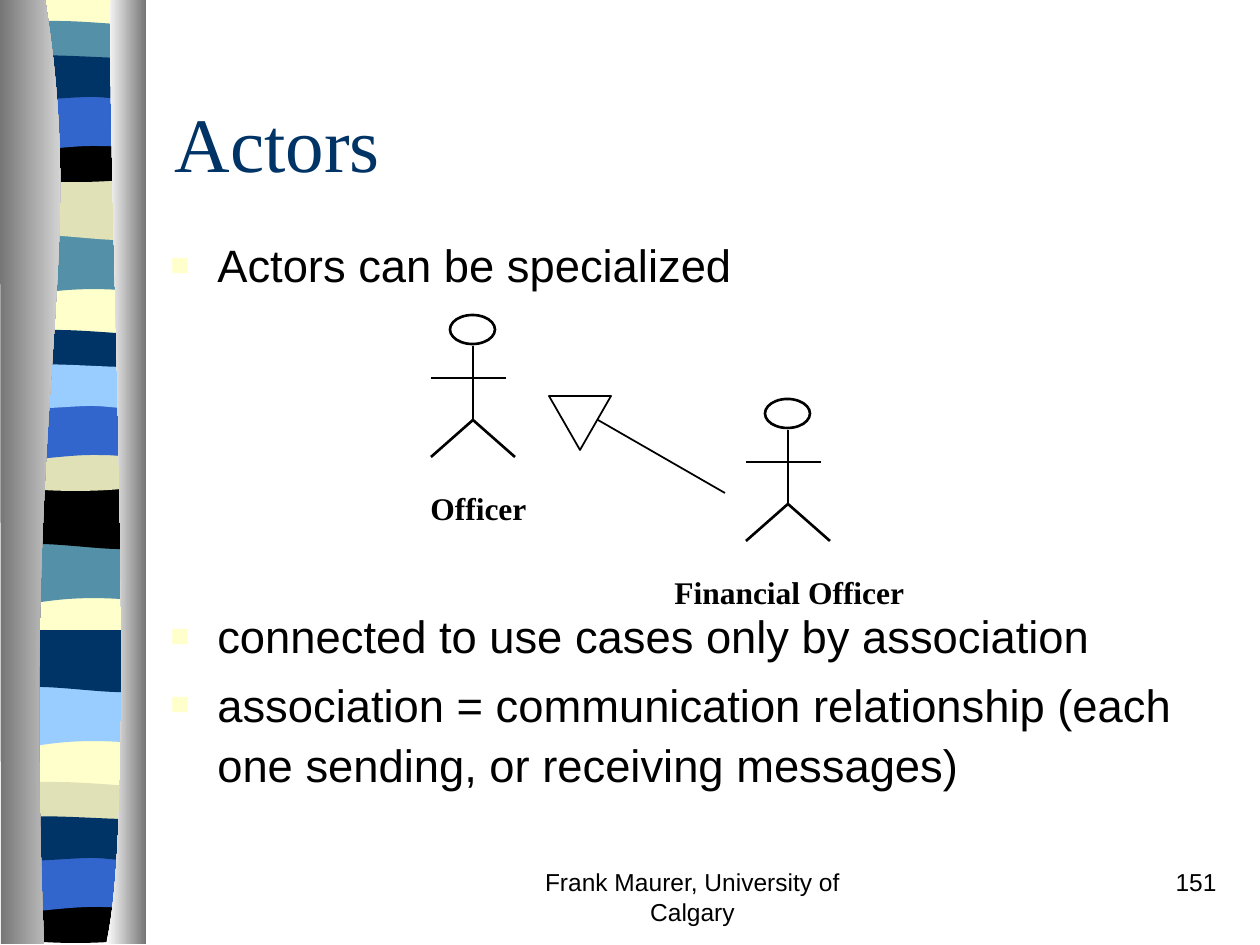
"""Build the slide on specialized actors."""
from lxml.etree import SubElement as Sub
from pptx import Presentation
from pptx.dml.color import RGBColor
from pptx.enum.shapes import MSO_CONNECTOR as Conn, MSO_SHAPE as Kind
from pptx.enum.text import MSO_ANCHOR as Anchor, MSO_AUTO_SIZE as Auto, PP_ALIGN as Align
from pptx.oxml.ns import qn
from pptx.util import Pt

PX = 7257
hue = RGBColor.from_string


def draw(start, legs, shift=0, close=True):
    """Add an outline of legs: two numbers make a line, six a Bezier curve."""
    dots = [(x, y + shift) for leg in legs for x, y in zip(leg[::2], leg[1::2])]
    pen = shapes.build_freeform(start[0], start[1] + shift, scale=PX)
    pen.add_line_segments(dots, close=close)
    shape = pen.convert_to_shape()
    steps = iter(list(shape._element.iter(qn("a:lnTo"))))
    for leg in legs:
        first, *rest = [next(steps) for _ in leg[::2]]
        if rest:
            first.tag = qn("a:cubicBezTo")
        for step in rest:
            first.append(step[0])
            step.getparent().remove(step)
    shape.shadow.inherit = False
    shape.line.fill.background()
    return shape


deck = Presentation()
deck.slide_width, deck.slide_height = 1260 * PX, 945 * PX
slide = deck.slides.add_slide(deck.slide_layouts[5])
shapes = slide.shapes

base = ((144, -1), [(144, 941), (8, 941), (8, -1)])
dip = ((144, 233), [(144, 292), (49, 282, 30, 302, 8, 292), (8, 233)])
sag = ((144, 178), [(144, 237), (121, 247, 49, 229, 8, 237), (8, 178)])
bow = ((144, 26), [(144, 57), (121, 62, 30, 62, 8, 57), (8, 26),
                   (15, 20, 37, 21, 59, 21), (82, 21, 126, 25, 144, 26)])
bulge = ((144, 136), [(144, 176), (121, 184, 30, 184, 8, 176), (8, 136),
                      (91, 142, 115, 136, 144, 136)])
arch = ((144, 93), [(144, 152), (122, 146, 113, 146, 91, 146),
                    (68, 146, 28, 152, 8, 152), (8, 93)])
wave = ((144, 58), [(144, 97), (135, 103, 113, 97, 91, 97), (68, 97, 21, 103, 8, 97),
                    (8, 58), (26, 52, 100, 58, 122, 58), (145, 58, 139, 58, 144, 58)])
bands = [
    (base, 0, "FFFFCC"),
    (dip, 0, "5490A8"), (sag, 0, "E1E1B7"), (bow, 0, "5490A8"),
    (bulge, 0, "000000"), (arch, 0, "3366CC"), (wave, 0, "003366"),
    (dip, 309, "5490A8"), (sag, 309, "000000"), (bow, 309, "003366"),
    (bulge, 309, "E1E1B7"), (arch, 309, "3366CC"), (wave, 309, "99CCFF"),
    (dip, 452, "99CCFF"), (sag, 452, "003366"), (bow, 761, "E1E1B7"),
    (bulge, 761, "000000"), (arch, 761, "3366CC"), (wave, 761, "003366"),
]
for form, shift, tint in bands:
    band = draw(*form, shift)
    band.fill.solid()
    band.fill.fore_color.rgb = hue(tint)

pillars = [
    ((45, -1), [(89, 272, 21, 373, 44, 944), (1, 944), (0, -1)], "767676", "FFFFFF"),
    ((111, -1), [(106, 158, 140, 814, 106, 944), (146, 944), (146, 0)], "FFFFFF", "767676"),
]
for start, legs, *tints in pillars:
    fill = draw(start, legs).fill
    fill.gradient()
    fill.gradient_angle = 0
    for stop, tint, place in zip(fill.gradient_stops, tints, (0, 1)):
        stop.color.rgb, stop.position = hue(tint), place

parts, lines = [], [(725, 493, 598, 420, 1)]
for x, y in ((473, 315), (788, 399)):
    head = shapes.add_shape(Kind.OVAL, (x - 23) * PX, y * PX, 45 * PX, 29 * PX)
    legs = draw((x - 42, y + 142), [(x, y + 105), (x + 42, y + 142)], close=False)
    parts += [(head, 1.5), (legs, 1.5)]
    lines += [(x, y + 31, x, y + 105, 1.5), (x - 42, y + 63, x + 33, y + 63, 1.5)]
arrow = shapes.add_shape(Kind.ISOSCELES_TRIANGLE, 549 * PX, 396 * PX, 62 * PX, 54 * PX)
arrow.rotation = 180
parts.append((arrow, 1))
for part, width in parts:
    part.shadow.inherit = False
    part.fill.background()
    part.line.color.rgb, part.line.width = hue("000000"), Pt(width)
for *ends, width in lines:
    line = shapes.add_connector(Conn.STRAIGHT, *(n * PX for n in ends))
    line.line.color.rgb, line.line.width = hue("000000"), Pt(width)
    Sub(line._element.spPr, qn("a:effectLst"))

head = {"name": "Times New Roman", "size": Pt(44)}
body = {"name": "Arial", "size": Pt(25.9)}
label = {"name": "Times New Roman", "size": Pt(18), "bold": True}
foot = {"name": "Arial", "size": Pt(14)}
points = [
    ("Actors can be specialized", 0),
    ("connected to use cases only by association", 181),
    ("association = communication relationship (each one sending, or receiving messages)", 8),
]
texts = [
    ((162, 63, 1071, 158), head, Align.LEFT, "003366", [("Actors", 0)]),
    ((158, 231, 1071, 567), body, Align.LEFT, "000000", points),
    ((418, 483, 121, 50), label, Align.LEFT, "000000", [("Officer", 0)]),
    ((662, 567, 255, 50), label, Align.LEFT, "000000", [("Financial Officer", 0)]),
    ((493, 861, 399, 63), foot, Align.CENTER, "000000", [("Frank Maurer, University of Calgary", 0)]),
    ((967, 861, 262, 63), foot, Align.RIGHT, "000000", [("151", 0)]),
]
for box, style, align, tint, paras in texts:
    area = [n * PX for n in box]
    if style is head:
        holder = shapes.title
        holder.left, holder.top, holder.width, holder.height = area
    else:
        holder = shapes.add_textbox(*area)
    frame = holder.text_frame
    frame.auto_size = Auto.NONE
    frame.word_wrap = style is not label
    frame.vertical_anchor = Anchor.MIDDLE if style is head else Anchor.TOP
    for i, (words, gap) in enumerate(paras):
        para = frame.add_paragraph() if i else frame.paragraphs[0]
        para.alignment = align
        if gap:
            para.space_before = Pt(gap)
        if style is body:
            props = para._p.get_or_add_pPr()
            props.set("marL", str(47 * PX))
            props.set("indent", str(-47 * PX))
            Sub(Sub(props, qn("a:buClr")), qn("a:srgbClr"), val="FFFFCC")
            Sub(props, qn("a:buSzPct"), val="70000")
            Sub(props, qn("a:buFont"), typeface="Arial")
            Sub(props, qn("a:buChar"), char="■")
        run = para.add_run()
        run.text = words
        run.font.color.rgb = hue(tint)
        for key, value in style.items():
            setattr(run.font, key, value)
    if style is body:
        tail = para.add_run()
        tail.text = " "
        tail.font.size = Pt(29.6)

deck.save("out.pptx")
